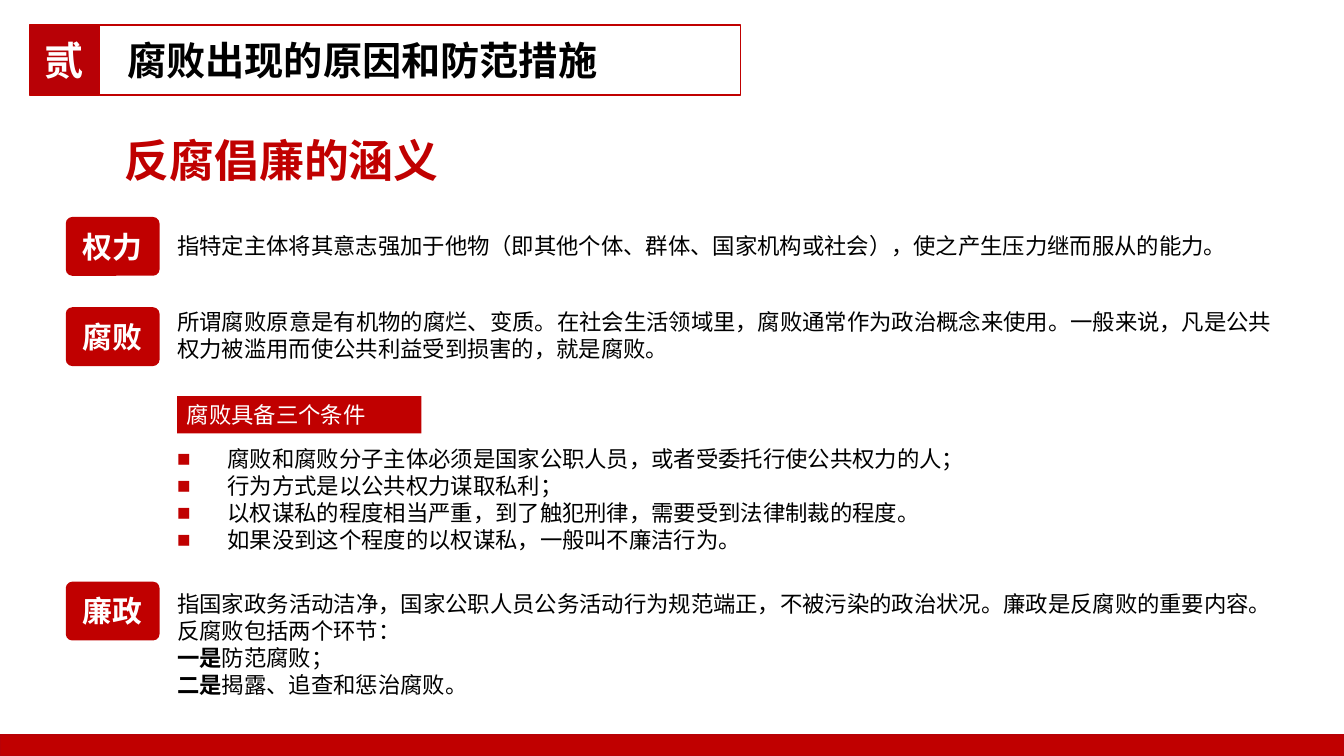
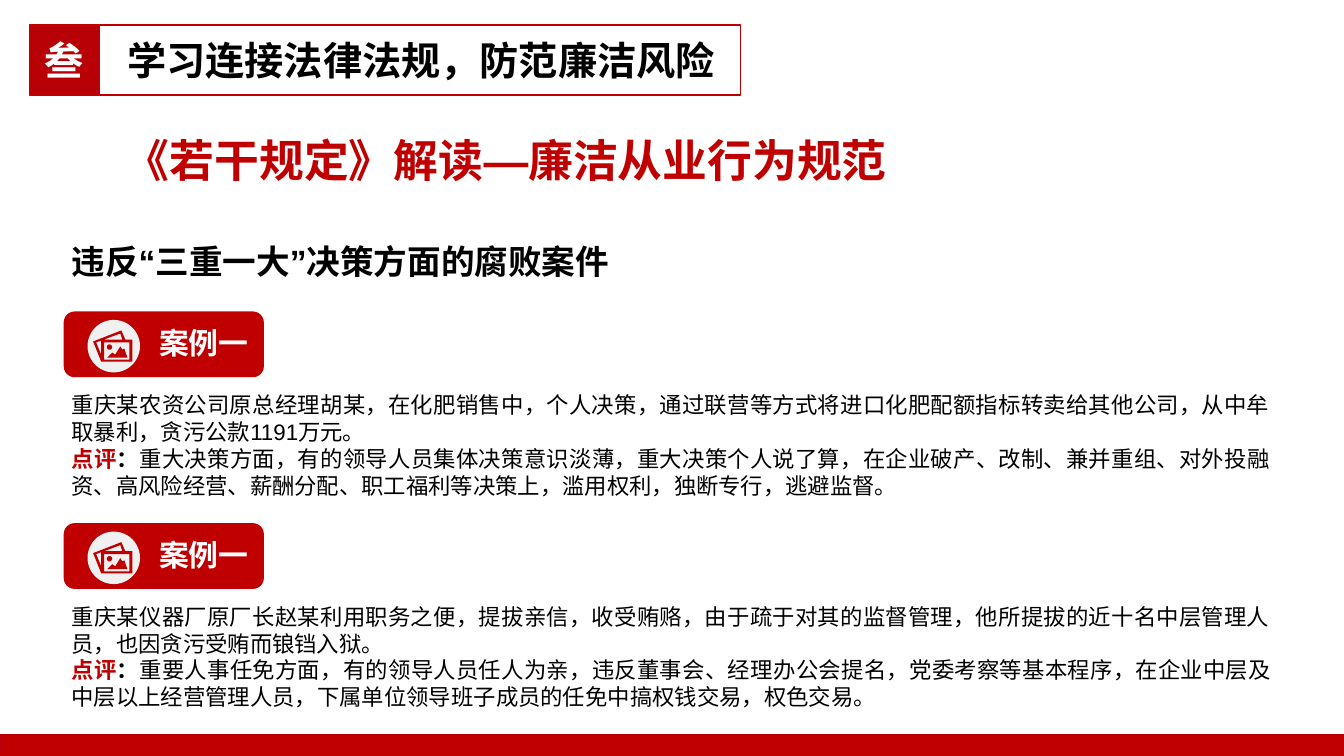
from math import cos, pi, sin

from lxml import etree
from pptx import Presentation
from pptx.dml.color import RGBColor
from pptx.enum.lang import MSO_LANGUAGE_ID as Language
from pptx.enum.shapes import MSO_SHAPE as Shape
from pptx.enum.text import MSO_ANCHOR as Anchor, MSO_AUTO_SIZE as AutoSize, PP_ALIGN as Align
from pptx.oxml.ns import qn
from pptx.util import Pt

FONT = "Arial"
COLORS = {
    "red": "C00000",
    "deep_red": "B80106",
    "white": "FFFFFF",
    "black": "000000",
    "pale": "F0F0F0",
}


def add_box(shapes, kind, left, top, width, height, fill=None, line=None):
    """Add a flat preset shape; without fill or line it is left clear."""
    shape = shapes.add_shape(kind, Pt(left), Pt(top), Pt(width), Pt(height))
    shape.shadow.inherit = False
    if fill:
        shape.fill.solid()
        shape.fill.fore_color.rgb = RGBColor.from_string(COLORS[fill])
    else:
        shape.fill.background()
    if line:
        shape.line.color.rgb = RGBColor.from_string(COLORS[line])
        shape.line.width = Pt(1)
    else:
        shape.line.fill.background()
    return shape


def write(shape, lines, size, color="black", bold=False, align=Align.JUSTIFY, anchor=Anchor.MIDDLE):
    """Fill a shape; a line is a string or a list of (text, color, bold) runs."""
    frame = shape.text_frame
    frame.word_wrap = True
    frame.auto_size = AutoSize.NONE
    frame.vertical_anchor = anchor
    for number, line in enumerate(lines):
        paragraph = frame.add_paragraph() if number else frame.paragraphs[0]
        paragraph.alignment = align
        runs = [(line, color, bold)] if isinstance(line, str) else line
        for text, run_color, run_bold in runs:
            run = paragraph.add_run()
            run.text = text
            font = run.font
            font.name = FONT
            font.size = Pt(size)
            font.bold = run_bold
            font.language_id = Language.SIMPLIFIED_CHINESE
            font.color.rgb = RGBColor.from_string(COLORS[run_color])
            latin = run._r.rPr.find(qn("a:latin"))
            east_asian = etree.Element(qn("a:ea"), typeface=FONT)
            latin.addnext(east_asian)


presentation = Presentation()
presentation.slide_width, presentation.slide_height = Pt(960), Pt(540)
layout = presentation.slide_layouts[5]

# Section heading and title of each slide
headings = [
    ("贰", "腐败出现的原因和防范措施", "反腐倡廉的涵义"),
    ("叁", "学习连接法律法规，防范廉洁风险", "《若干规定》解读—廉洁从业行为规范"),
]
for numeral, section, title in headings:
    slide = presentation.slides.add_slide(layout)
    placeholder = slide.shapes.title
    placeholder.left, placeholder.top = Pt(82), Pt(91)
    placeholder.width, placeholder.height = Pt(600), Pt(46)
    write(placeholder, [title], 32, "red", True, Align.LEFT, Anchor.TOP)
    badge = add_box(slide.shapes, Shape.RECTANGLE, 21, 18, 50, 50, "deep_red", "red")
    write(badge, [numeral], 28, "white", True, Align.CENTER)
    section_frame = add_box(slide.shapes, Shape.RECTANGLE, 71, 18, 458, 50, line="red")
    section_frame.text_frame.margin_left = Pt(20)
    write(section_frame, [section], 28, "black", True, Align.LEFT)

meaning_slide, case_slide = presentation.slides

# The bottom band belongs to the master, behind everything else
band = add_box(meaning_slide.shapes, Shape.RECTANGLE, 0, 525, 960, 15, "red", "deep_red")
band.element.xpath("./p:nvSpPr/p:cNvPr")[0].set("id", "20")
presentation.slide_master.shapes.element.insert(2, band.element)

# Slide 1: three terms
terms = [
    ("权力", 155, 162, 27, [
        "指特定主体将其意志强加于他物（即其他个体、群体、国家机构或社会），使之产生压力继而服从的能力。",
    ]),
    ("腐败", 219.5, 216, 46, [
        "所谓腐败原意是有机物的腐烂、变质。在社会生活领域里，腐败通常作为政治概念来使用。"
        "一般来说，凡是公共权力被滥用而使公共利益受到损害的，就是腐败。",
    ]),
    ("廉政", 415.5, 417.5, 85, [
        "指国家政务活动洁净，国家公职人员公务活动行为规范端正，不被污染的政治状况。"
        "廉政是反腐败的重要内容。反腐败包括两个环节：",
        [("一是", "black", True), ("防范腐败；", "black", False)],
        [("二是", "black", True), ("揭露、追查和惩治腐败。", "black", False)],
    ]),
]
TEXT_LEFT, TEXT_WIDTH = 119.5, 796.5
for term, chip_top, text_top, text_height, lines in terms:
    chip = add_box(meaning_slide.shapes, Shape.ROUNDED_RECTANGLE, 47, chip_top, 67, 42, "red")
    chip.adjustments[0] = 0.11
    write(chip, [term], 21.3, "white", True, Align.CENTER)
    explanation = add_box(meaning_slide.shapes, Shape.RECTANGLE, TEXT_LEFT, text_top, TEXT_WIDTH, text_height)
    write(explanation, lines, 16)

label = add_box(meaning_slide.shapes, Shape.RECTANGLE, 126.5, 283, 174.5, 26.5, "red")
write(label, ["腐败具备三个条件"], 16, "white")

conditions = add_box(meaning_slide.shapes, Shape.RECTANGLE, TEXT_LEFT, 314, TEXT_WIDTH, 85)
write(conditions, [
    "腐败和腐败分子主体必须是国家公职人员，或者受委托行使公共权力的人；",
    "行为方式是以公共权力谋取私利；",
    "以权谋私的程度相当严重，到了触犯刑律，需要受到法律制裁的程度。",
    "如果没到这个程度的以权谋私，一般叫不廉洁行为。",
], 16)
for paragraph in conditions.text_frame.paragraphs:
    properties = paragraph._p.get_or_add_pPr()
    properties.set("marL", str(Pt(36)))
    properties.set("indent", str(-Pt(36)))
    bullet_color = etree.SubElement(properties, qn("a:buClr"))
    etree.SubElement(bullet_color, qn("a:srgbClr"), val=COLORS["red"])
    etree.SubElement(properties, qn("a:buFont"), typeface=FONT)
    etree.SubElement(properties, qn("a:buChar"), char="■")

# Slide 2: two cases, each with a photo icon
subheading = add_box(case_slide.shapes, Shape.RECTANGLE, 44, 168.5, 576, 39)
write(subheading, ["违反“三重一大”决策方面的腐败案件"], 24, bold=True, anchor=Anchor.TOP)

# Icon outlines in tenths of a point
sun = [(117 + 19 * cos(step * pi / 8), 119 + 19 * sin(step * pi / 8)) for step in range(16)]
icon_outlines = [
    [(230, 65), (202, 0), (0, 79), (58, 223), (281, 223), (281, 65)],
    [(79, 86), (259, 86), (259, 209), (79, 209)],
    [(223, 130), (209, 137), (194, 115), (158, 173), (137, 158), (101, 194), (245, 194)],
    [(22, 86), (58, 72), (58, 173)],
    [(209, 65), (79, 65), (194, 22)],
    sun,
]
cases = [
    (
        "重庆某农资公司原总经理胡某，在化肥销售中，个人决策，通过联营等方式将进口化肥配额指标"
        "转卖给其他公司，从中牟取暴利，贪污公款1191万元。",
        "重大决策方面，有的领导人员集体决策意识淡薄，重大决策个人说了算，在企业破产、改制、兼并重组、"
        "对外投融资、高风险经营、薪酬分配、职工福利等决策上，滥用权利，独断专行，逃避监督。",
    ),
    (
        "重庆某仪器厂原厂长赵某利用职务之便，提拔亲信，收受贿赂，由于疏于对其的监督管理，"
        "他所提拔的近十名中层管理人员，也因贪污受贿而锒铛入狱。",
        "重要人事任免方面，有的领导人员任人为亲，违反董事会、经理办公会提名，党委考察等基本程序，"
        "在企业中层及中层以上经营管理人员，下属单位领导班子成员的任免中搞权钱交易，权色交易。",
    ),
]
for index, (facts, comment) in enumerate(cases):
    top = 222.5 + index * 151.2
    chip = add_box(case_slide.shapes, Shape.ROUNDED_RECTANGLE, 45.5, top, 143, 47, "red")
    chip.text_frame.margin_left = Pt(66)
    chip.text_frame.margin_right = Pt(0)
    chip.text_frame.margin_bottom = Pt(6)
    write(chip, ["案例一"], 21.3, "white", True, Align.LEFT)
    add_box(case_slide.shapes, Shape.OVAL, 62.5, top + 6, 37.5, 37.5, "pale")

    builder = case_slide.shapes.build_freeform(*icon_outlines[0][0], scale=Pt(1) / 10)
    builder.add_line_segments(icon_outlines[0][1:], close=True)
    for outline in icon_outlines[1:]:
        builder.move_to(*outline[0])
        builder.add_line_segments(outline[1:], close=True)
    icon = builder.convert_to_shape(Pt(66.5), Pt(top + 13.5))
    icon.shadow.inherit = False
    icon.fill.solid()
    icon.fill.fore_color.rgb = RGBColor.from_string(COLORS["red"])
    icon.line.fill.background()

    report = add_box(case_slide.shapes, Shape.RECTANGLE, 44, top + 53.3, 871, 85)
    remark = [("点评", "red", True), ("：", "black", True), (comment, "black", False)]
    write(report, [facts, remark], 16, anchor=Anchor.TOP)

presentation.save("out.pptx")
